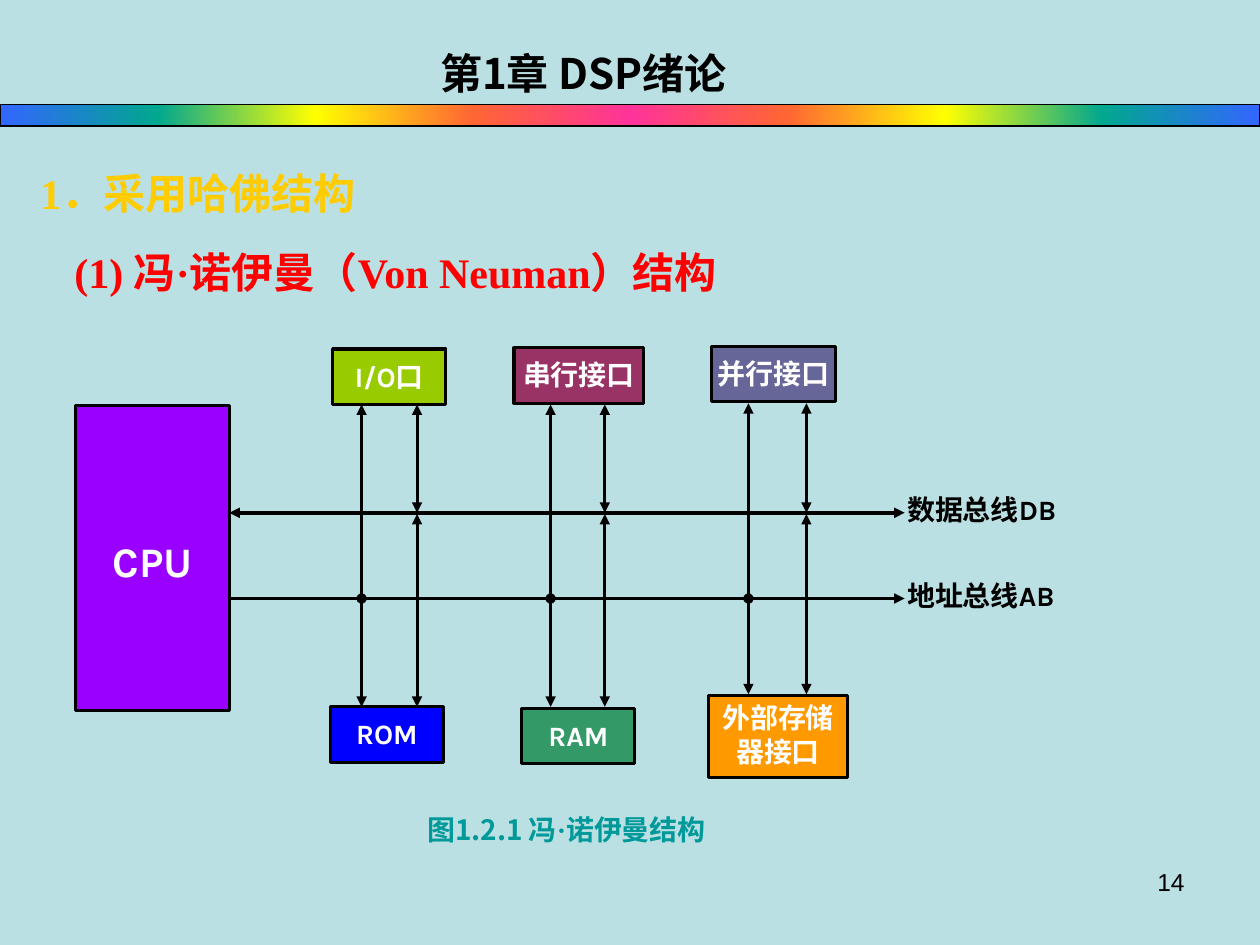
from copy import deepcopy
from dataclasses import dataclass

from lxml import etree
from pptx import Presentation
from pptx.dml.color import RGBColor
from pptx.enum.shapes import MSO_CONNECTOR as Connector, MSO_SHAPE as Shape
from pptx.enum.text import MSO_ANCHOR as Anchor, PP_ALIGN as Align
from pptx.oxml.ns import qn
from pptx.util import Inches, Pt


@dataclass(frozen=True)
class Theme:
    """Colours, fonts and type sizes."""
    background: str = "BBE0E3"
    ink: str = "000000"
    white: str = "FFFFFF"
    heading: str = "FFCC00"
    subheading: str = "FF0000"
    caption: str = "009999"
    rainbow: tuple = ("3366FF", "01A78F", "FFFF00", "FF6633", "FF3399")
    serif: str = "Times New Roman"
    sans: str = "Arial"
    chinese: str = "Noto Sans CJK SC"
    label: str = "Karla"
    large: int = 24
    normal: int = 16
    small: int = 14
    outline: float = 1.75
    bus: float = 2


def rgb(colour):
    """Turn a hex string into a colour."""
    return RGBColor.from_string(colour)


class Painter:
    """Draws styled elements on the current slide."""

    def __init__(self, page, theme):
        """Keep the slide and the theme, and paint the background."""
        self.page, self.theme = page, theme
        page.background.fill.solid()
        page.background.fill.fore_color.rgb = rgb(theme.background)

    def fill_text(self, frame, lines, size=None, colour=None, font=None, bold=True,
                  align=Align.LEFT, anchor=Anchor.TOP,
                  insets=(0.1, 0.05, 0.1, 0.05), spacing=None):
        """Fill a frame; a line is a string or a list of (text, font) pairs."""
        frame.word_wrap = True
        frame.vertical_anchor = anchor
        (frame.margin_left, frame.margin_top,
         frame.margin_right, frame.margin_bottom) = map(Inches, insets)
        for number, line in enumerate(lines):
            para = frame.add_paragraph() if number else frame.paragraphs[0]
            para.alignment = align
            if spacing:
                para.line_spacing = spacing
            pairs = [(line, font or self.theme.serif)] if isinstance(line, str) else line
            for text, face in pairs:
                span = para.add_run()
                span.text = text
                span.font.name = face
                span.font.size = Pt(size or self.theme.normal)
                span.font.bold = bold
                span.font.color.rgb = rgb(colour or self.theme.ink)
                east = etree.SubElement(span.font._element, qn("a:ea"))
                east.set("typeface", self.theme.chinese)

    def text(self, place, *lines, **style):
        """Add a text box."""
        box = self.page.shapes.add_textbox(*map(Inches, place))
        self.fill_text(box.text_frame, lines, **style)

    def block(self, place, colour, *lines, width=None, **style):
        """Add an outlined rectangle with centred white text."""
        box = self.page.shapes.add_shape(Shape.RECTANGLE, *map(Inches, place))
        box.shadow.inherit = False
        box.fill.solid()
        box.fill.fore_color.rgb = rgb(colour)
        box.line.color.rgb = rgb(self.theme.ink)
        box.line.width = Pt(width or self.theme.outline)
        style = {"insets": (0, 0.08, 0, 0.04)} | style
        self.fill_text(box.text_frame, lines, colour=self.theme.white,
                       align=Align.CENTER, **style)
        return box

    def rainbow_bar(self, place):
        """Add a bar whose gradient mirrors about its middle."""
        bar = self.block(place, self.theme.ink, width=1)
        bar.fill.gradient()
        bar.fill.gradient_angle = 0
        stops = bar._element.spPr.find(qn("a:gradFill")).find(qn("a:gsLst"))
        sample = deepcopy(stops[0])
        for stop in list(stops):
            stops.remove(stop)
        colours = self.theme.rainbow + self.theme.rainbow[-2::-1]
        for number, colour in enumerate(colours):
            stop = deepcopy(sample)
            stop.set("pos", str(number * 100000 // (len(colours) - 1)))
            for child in list(stop):
                stop.remove(child)
            etree.SubElement(stop, qn("a:srgbClr")).set("val", colour)
            stops.append(stop)

    def line(self, start, end, head=None, tail=None, width=None):
        """Add a straight line with optional end marks."""
        link = self.page.shapes.add_connector(
            Connector.STRAIGHT, *map(Inches, (*start, *end)))
        link.line.color.rgb = rgb(self.theme.ink)
        link.line.width = Pt(width or self.theme.outline)
        outline = link._element.spPr.find(qn("a:ln"))
        for tag, mark in (("a:headEnd", head), ("a:tailEnd", tail)):
            if mark:
                etree.SubElement(outline, qn(tag)).set("type", mark)
        etree.SubElement(link._element.spPr, qn("a:effectLst"))


def draw_headings(painter):
    """Draw the title, the bar, both headings, the caption and the number."""
    theme = painter.theme
    painter.text((2.67, 0.33, 3.92, 0.5), "第1章 DSP绪论", size=theme.large,
                 font=theme.chinese, align=Align.CENTER)
    painter.rainbow_bar((0, 0.83, 10, 0.17))
    painter.text((0, 1.17, 5.75, 0.63), "1．采用哈佛结构", size=theme.large,
                 colour=theme.heading, insets=(0.32, 0.16, 0.1, 0.05))
    painter.text((0, 1.75, 9.5, 0.66), "(1) 冯·诺伊曼（Von Neuman）结构",
                 size=theme.large, colour=theme.subheading, spacing=1.4,
                 insets=(0.59, 0.05, 0.1, 0.05))
    painter.text((3.39, 6.41, 3.2, 0.59),
                 [("图", theme.serif), ("1.2.1 冯", theme.chinese),
                  ("·", theme.serif), ("诺伊曼结构", theme.chinese)],
                 colour=theme.caption, align=Align.JUSTIFY, insets=(0, 0.04, 0, 0.04))
    painter.text((7.17, 6.83, 2.33, 0.52), "14", size=theme.small,
                 font=theme.sans, bold=False, align=Align.RIGHT)


def draw_blocks(painter):
    """Draw the processor, the ports and the memories."""
    theme = painter.theme
    painter.block((0.6, 3.22, 1.22, 2.42), "9900FF", "CPU", size=theme.large,
                  font=theme.label, anchor=Anchor.MIDDLE)
    painter.block((2.64, 2.77, 0.9, 0.44), "99CC00",
                  [("I/O", theme.label), ("口", theme.serif)])
    painter.block((4.08, 2.76, 1.03, 0.44), "993366", "串行接口")
    painter.block((5.65, 2.75, 0.98, 0.44), "666699", "并行接口")
    painter.block((2.62, 5.61, 0.9, 0.44), "0000FF", "ROM", font=theme.label)
    painter.block((4.14, 5.62, 0.9, 0.44), "339966", "RAM", font=theme.label)
    painter.block((5.62, 5.52, 1.11, 0.65), "FF9900", "外部存储", "器接口",
                  insets=(0, 0.04, 0, 0.04))


def draw_buses(painter):
    """Draw both buses, their labels and the links to each column."""
    theme = painter.theme
    left, right, data, address = 1.82, 7.18, 4.07, 4.75
    arrow = "triangle"
    for level, head, name, code in ((data, arrow, "数据总线", "DB"),
                                    (address, None, "地址总线", "AB")):
        painter.line((left, level), (right, level), head, arrow, theme.bus)
        painter.text((right, level - 0.2, 1.32, 0.45),
                     [(name, theme.serif), (code, theme.label)],
                     align=Align.JUSTIFY, insets=(0.02, 0.04, 0.02, 0.04))
    for address_x, data_x, top, bottom in ((2.87, 3.31, 3.21, 5.61),
                                           (4.37, 4.8, 3.21, 5.61),
                                           (5.94, 6.4, 3.2, 5.51)):
        painter.line((address_x, top), (address_x, address), arrow)
        painter.line((address_x, bottom), (address_x, address), arrow, "oval")
        painter.line((data_x, top), (data_x, data), arrow, arrow)
        painter.line((data_x, bottom), (data_x, data + 0.01), arrow, arrow)


def main():
    """Build and save the slide."""
    deck = Presentation()
    deck.slide_width, deck.slide_height = Inches(10), Inches(7.5)
    painter = Painter(deck.slides.add_slide(deck.slide_layouts[6]), Theme())
    draw_headings(painter)
    draw_blocks(painter)
    draw_buses(painter)
    deck.save("out.pptx")


main()
